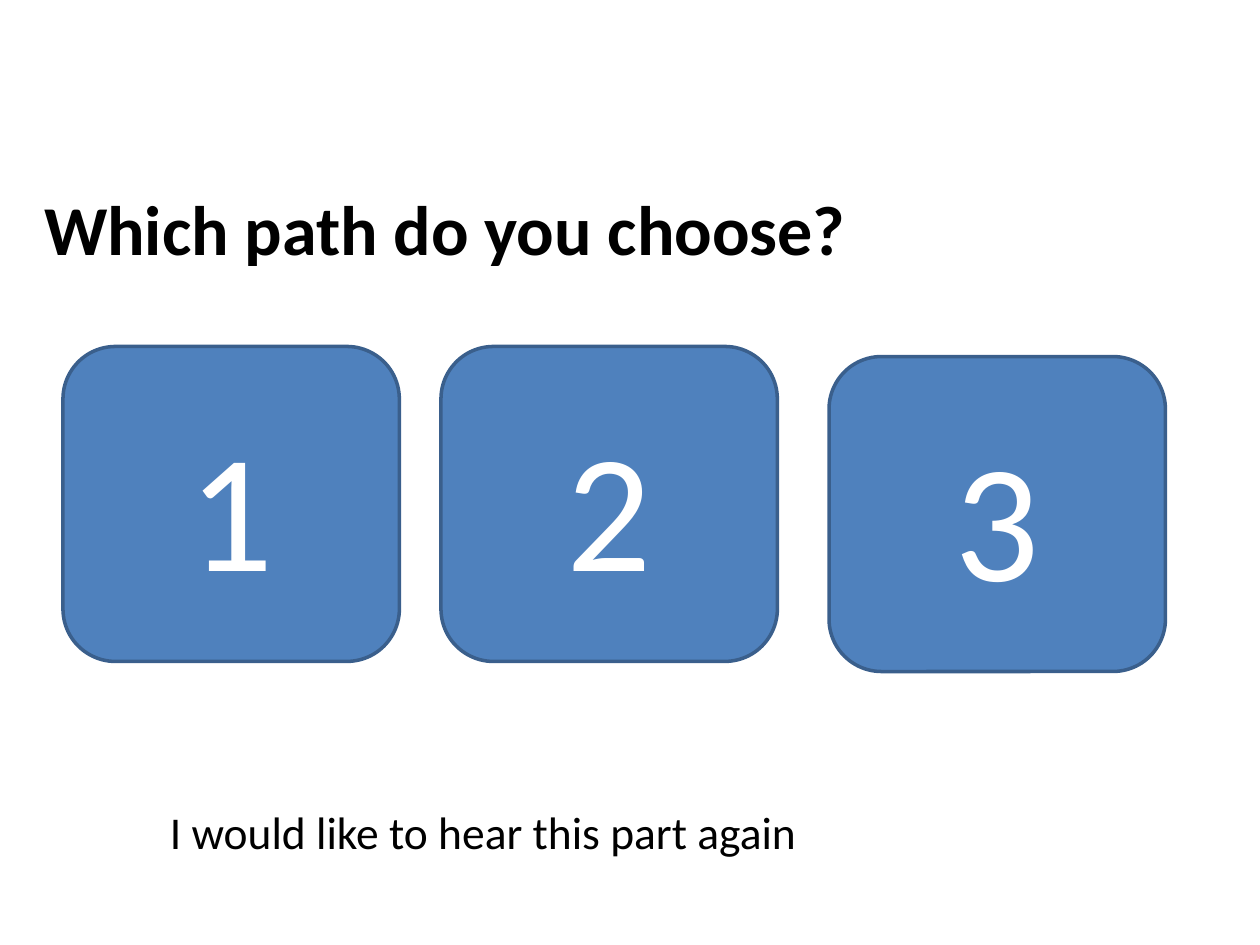
from dataclasses import dataclass

from pptx import Presentation
from pptx.dml.color import RGBColor
from pptx.enum import shapes, text
from pptx.util import Inches, Pt

QUESTION = "Which path do you choose?"
REPEAT = "I would like to hear this part again"
# label, left, top
CHOICES = [("1", 0.5, 2.75), ("2", 3.5, 2.75), ("3", 6.58, 2.83)]
CHOICE_SIZE = (2.67, 2.5)


@dataclass(frozen=True)
class Theme:
    font: str = "Calibri"
    ink: str = "000000"
    button: str = "4F81BD"
    outline: str = "3A5F8C"
    label: str = "FFFFFF"
    question_size: int = 40
    label_size: int = 96
    repeat_size: int = 26


THEME = Theme()


def write(frame, content, size, color, align, anchor, bold=False):
    frame.vertical_anchor = anchor
    paragraph = frame.paragraphs[0]
    paragraph.alignment = align
    run = paragraph.add_run()
    run.text = content
    run.font.name = THEME.font
    run.font.size = Pt(size)
    run.font.bold = bold
    run.font.color.rgb = RGBColor.from_string(color)


def add_question(slide):
    title = slide.shapes.title
    title.left, title.top = Inches(0.25), Inches(1.42)
    title.width, title.height = Inches(9.25), Inches(0.77)
    frame = title.text_frame
    frame.word_wrap = True
    frame.auto_size = text.MSO_AUTO_SIZE.SHAPE_TO_FIT_TEXT
    write(frame, QUESTION, THEME.question_size, THEME.ink,
          text.PP_ALIGN.LEFT, text.MSO_ANCHOR.TOP, bold=True)


def add_choice(slide, label, left, top):
    width, height = CHOICE_SIZE
    button = slide.shapes.add_shape(
        shapes.MSO_SHAPE.ROUNDED_RECTANGLE,
        Inches(left), Inches(top), Inches(width), Inches(height))
    button.shadow.inherit = False
    button.fill.solid()
    button.fill.fore_color.rgb = RGBColor.from_string(THEME.button)
    button.line.color.rgb = RGBColor.from_string(THEME.outline)
    button.line.width = Pt(2)
    write(button.text_frame, label, THEME.label_size, THEME.label,
          text.PP_ALIGN.CENTER, text.MSO_ANCHOR.MIDDLE)


def add_repeat(slide):
    box = slide.shapes.add_textbox(
        Inches(1.25), Inches(6.33), Inches(5.23), Inches(0.54))
    frame = box.text_frame
    frame.word_wrap = False
    frame.auto_size = text.MSO_AUTO_SIZE.SHAPE_TO_FIT_TEXT
    write(frame, REPEAT, THEME.repeat_size, THEME.ink,
          text.PP_ALIGN.LEFT, text.MSO_ANCHOR.TOP)


def main():
    presentation = Presentation()
    presentation.slide_width = Inches(10)
    presentation.slide_height = Inches(7.5)
    title_only = presentation.slide_layouts.get_by_name("Title Only")
    slide = presentation.slides.add_slide(title_only)
    add_question(slide)
    for label, left, top in CHOICES:
        add_choice(slide, label, left, top)
    add_repeat(slide)
    presentation.save("out.pptx")


if __name__ == "__main__":
    main()
